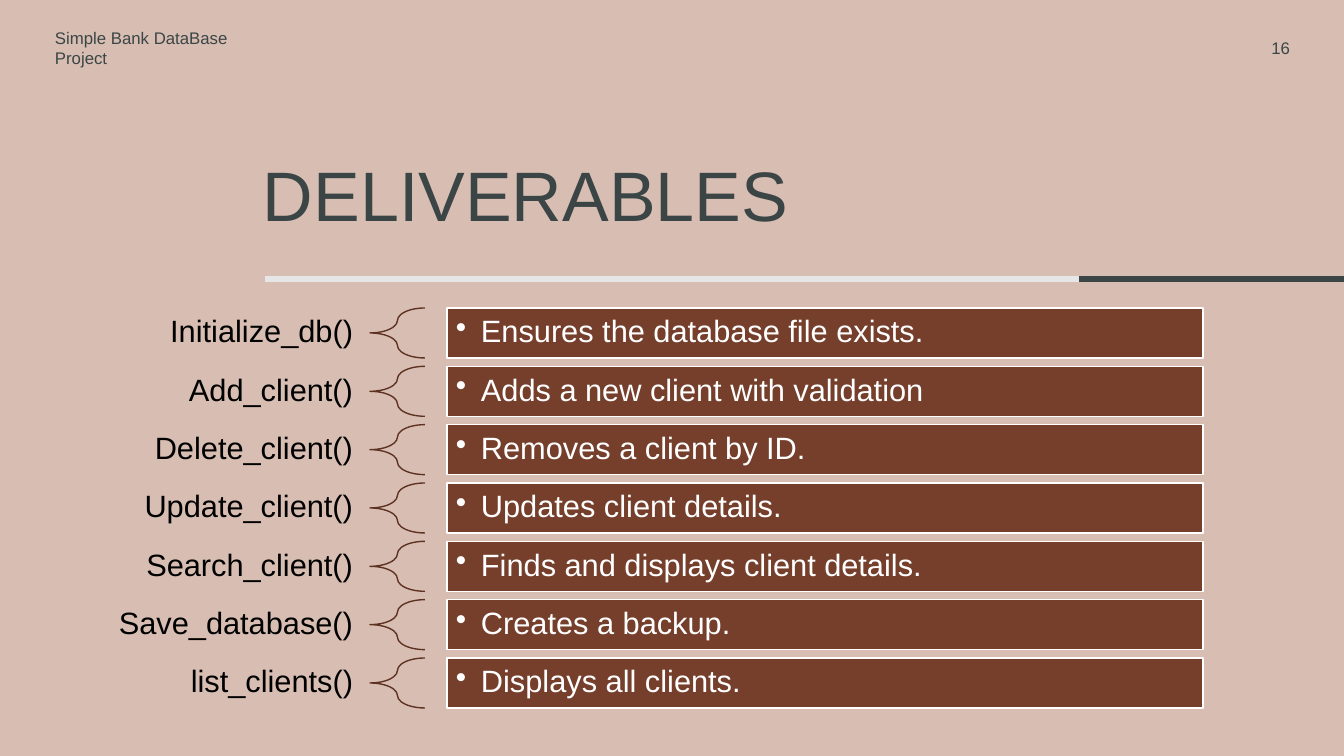
from lxml import etree
from pptx import Presentation
from pptx.dml.color import RGBColor
from pptx.enum.shapes import MSO_CONNECTOR, MSO_SHAPE
from pptx.enum.text import MSO_ANCHOR as Anchor, PP_ALIGN as Align
from pptx.oxml.ns import qn
from pptx.util import Pt

EMU_PER_PX = 914400 / 100.8
FONT = "Arial"
BACKGROUND = RGBColor(0xD8, 0xBE, 0xB2)
SLATE = RGBColor(0x3B, 0x45, 0x46)
PALE = RGBColor(0xE7, 0xE6, 0xE6)
BROWN = RGBColor(0x75, 0x3F, 0x2C)
DARK_BROWN = RGBColor(0x5E, 0x32, 0x23)
WHITE = RGBColor(0xFF, 0xFF, 0xFF)
BLACK = RGBColor(0, 0, 0)

DELIVERABLES = [
    ("Initialize_db()", "Ensures the database file exists."),
    ("Add_client()", "Adds a new client with validation"),
    ("Delete_client()", "Removes a client by ID."),
    ("Update_client()", "Updates client details."),
    ("Search_client()", "Finds and displays client details."),
    ("Save_database()", "Creates a backup."),
    ("list_clients()", "Displays all clients."),
]


def px(length):
    return round(length * EMU_PER_PX)


def emu_box(*box):
    return [px(length) for length in box]


def write(shape, text, size, color, align=Align.LEFT, anchor=Anchor.MIDDLE,
          insets=(10, 5), line_spacing=1.0, bullet_indent=0):
    frame = shape.text_frame
    frame.word_wrap = True
    frame.vertical_anchor = anchor
    frame.margin_left = frame.margin_right = px(insets[0])
    frame.margin_top = frame.margin_bottom = px(insets[1])
    paragraph = frame.paragraphs[0]
    paragraph.alignment = align
    paragraph.line_spacing = line_spacing
    run = paragraph.add_run()
    run.text = text
    run.font.name = FONT
    run.font.size = Pt(size)
    run.font.color.rgb = color
    if bullet_indent:
        properties = paragraph._p.get_or_add_pPr()
        properties.set("marL", str(px(bullet_indent)))
        properties.set("indent", str(-px(bullet_indent)))
        etree.SubElement(properties, qn("a:buChar"), char="•")


def add_text(slide, box, text, **text_format):
    write(slide.shapes.add_textbox(*emu_box(*box)), text, **text_format)


def add_outlined(slide, preset, box, line_color, fill=None):
    shape = slide.shapes.add_shape(preset, *emu_box(*box))
    shape.shadow.inherit = False
    shape.line.color.rgb = line_color
    shape.line.width = Pt(1)
    if fill is None:
        shape.fill.background()
    else:
        shape.fill.solid()
        shape.fill.fore_color.rgb = fill
    return shape


def add_header(slide, left, top, width, height):
    number_width = 184
    add_text(slide, (left, top, 202, height), "Simple Bank DataBase Project",
             size=12, color=SLATE)
    add_text(slide, (left + width - number_width, top, number_width, height),
             "16", size=12, color=SLATE, align=Align.RIGHT)


def add_title(slide, left, top, width, height):
    title = slide.shapes.title
    title.left, title.top, title.width, title.height = emu_box(
        left, top, width, height)
    write(title, "DELIVERABLES", size=50, color=SLATE, anchor=Anchor.BOTTOM,
          insets=(10, 4), line_spacing=0.8)


def add_divider(slide, left, top, width):
    split, right = left + 814, left + width
    for start, end, color in ((left, split, PALE), (split, right, SLATE)):
        line = slide.shapes.add_connector(
            MSO_CONNECTOR.STRAIGHT, *emu_box(start, top, end, top))
        line.line.color.rgb = color
        line.line.width = Pt(4.5)
        etree.SubElement(line._element.spPr, qn("a:effectLst"))


def add_deliverable(slide, left, top, width, height, name, description):
    label_width, brace_width, gap = 278, 55, 22
    add_text(slide, (left, top, label_width, height), name, size=22,
             color=BLACK, align=Align.RIGHT, insets=(17, 6), line_spacing=0.9)
    brace_left = left + label_width
    brace = add_outlined(slide, MSO_SHAPE.LEFT_BRACE,
                         (brace_left, top, brace_width, height), DARK_BROWN)
    brace.adjustments[0] = 0.35
    bar_left = brace_left + brace_width + gap
    bar = add_outlined(slide, MSO_SHAPE.RECTANGLE,
                       (bar_left, top, left + width - bar_left, height),
                       WHITE, BROWN)
    write(bar, description, size=22, color=WHITE, insets=(9, 9),
          line_spacing=0.9, bullet_indent=25)


def add_deliverables(slide, left, top, width, height):
    row_height = 50
    pitch = (height - row_height) / (len(DELIVERABLES) - 1)
    for row, (name, description) in enumerate(DELIVERABLES):
        add_deliverable(slide, left, top + row * pitch, width, row_height,
                        name, description)


def main():
    presentation = Presentation()
    presentation.slide_width, presentation.slide_height = emu_box(1344, 756)
    title_only = presentation.slide_layouts[5]
    slide = presentation.slides.add_slide(title_only)
    slide.background.fill.solid()
    slide.background.fill.fore_color.rgb = BACKGROUND
    add_divider(slide, 265, 279, 1079)
    add_title(slide, 253, 161, 827, 78)
    add_header(slide, 45, 33, 1255, 30)
    add_deliverables(slide, 92, 308, 1111, 400)
    presentation.save("out.pptx")


if __name__ == "__main__":
    main()
